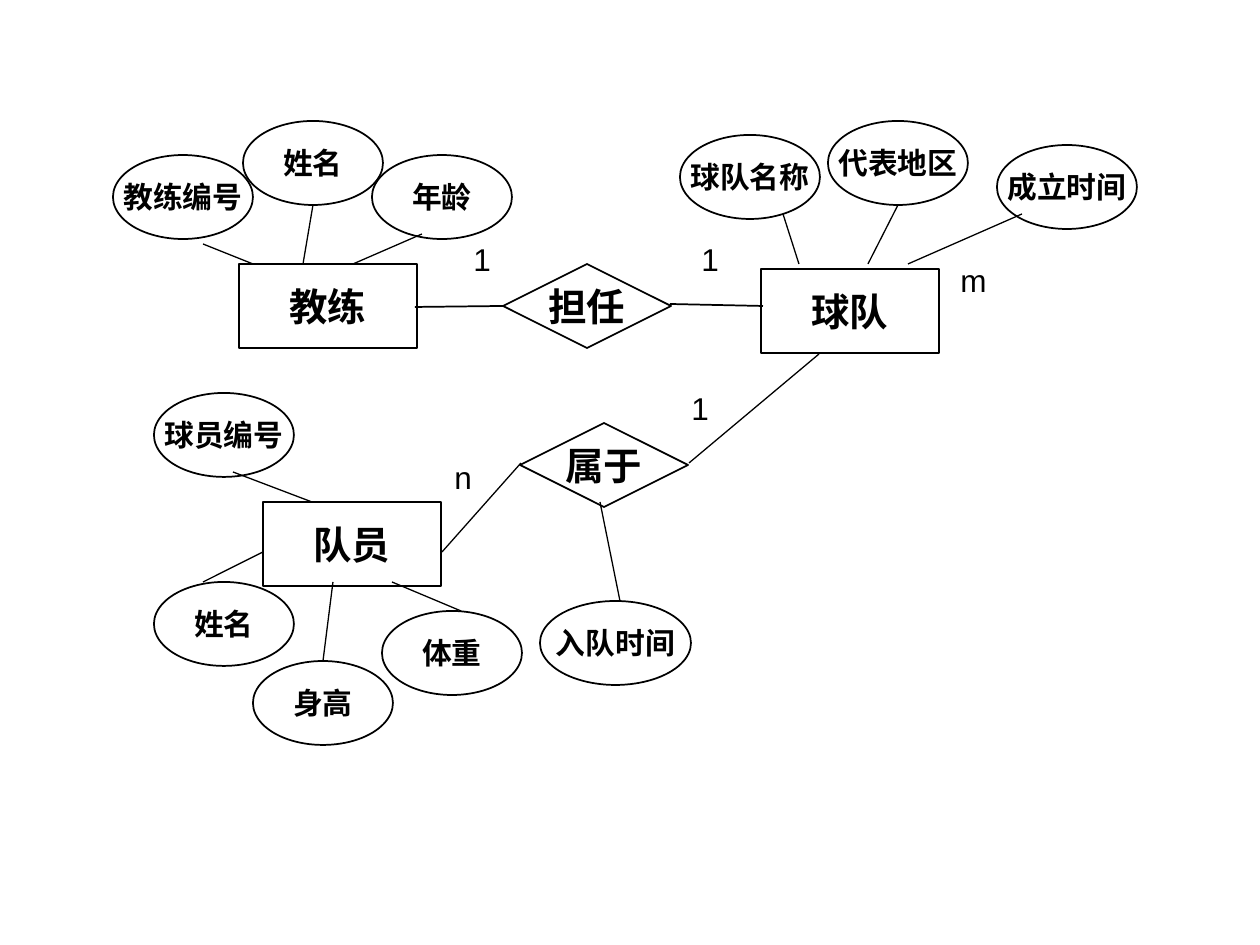
from lxml.etree import SubElement
from pptx import Presentation
from pptx.dml.color import RGBColor
from pptx.enum.shapes import MSO_CONNECTOR, MSO_SHAPE as Shape
from pptx.enum.text import MSO_ANCHOR, MSO_AUTO_SIZE, PP_ALIGN
from pptx.oxml.ns import qn
from pptx.util import Pt

PX = 914400 / 126
BLACK = "000000"
CJK, LATIN = "Noto Sans CJK SC", "Arial"

# Kind of node: preset, width, height, text size, space before
ENTITY = (Shape.RECTANGLE, 178, 84, 22, 5.5)
RELATION = (Shape.FLOWCHART_DECISION, 168, 84, 22, 5.5)
ATTRIBUTE = (Shape.OVAL, 140, 84, 17, 4.2)
WIDE_ATTRIBUTE = (Shape.OVAL, 151, 84, 17, 4.2)

# Nodes: text, left, top
NODES = [
    (ENTITY, [("教练", 239, 264), ("球队", 761, 269), ("队员", 263, 502)]),
    (RELATION, [("担任", 503, 264), ("属于", 520, 423)]),
    (ATTRIBUTE, [
        ("教练编号", 113, 155), ("姓名", 243, 121), ("年龄", 372, 155),
        ("球队名称", 680, 135), ("代表地区", 828, 121), ("成立时间", 997, 145),
        ("球员编号", 154, 393), ("姓名", 154, 582), ("身高", 253, 661),
        ("体重", 382, 611),
    ]),
    (WIDE_ATTRIBUTE, [("入队时间", 540, 601)]),
]

# Links by line width: x and y of the start, x and y of the end
LINKS = {
    1: [(503, 306, 415, 307), (670, 304, 763, 306)],
    0.75: [
        # attributes of the coach
        (253, 264, 203, 244), (313, 205, 303, 264), (422, 234, 353, 264),
        # attributes of the team
        (783, 214, 799, 264), (898, 205, 868, 264), (908, 264, 1022, 214),
        # membership
        (442, 552, 521, 463), (689, 463, 819, 354), (600, 502, 620, 601),
        # attributes of the player
        (312, 502, 233, 472), (263, 552, 203, 582),
        (333, 582, 323, 661), (392, 582, 461, 611),
    ],
}

# Cardinalities: text, left, top, width
CARDINALITIES = [
    ("m", 948, 255, 49), ("1", 689, 234, 49), ("1", 461, 234, 49),
    ("n", 442, 452, 49), ("1", 679, 383, 59),
]
CARDINALITY_HEIGHT = 50


def px(*lengths):
    return [round(length * PX) for length in lengths]


def color(hex_code):
    return RGBColor.from_string(hex_code)


def outline(part, width):
    part.line.color.rgb = color(BLACK)
    part.line.width = Pt(width)


def write(frame, text, size, typeface, before, bold=False):
    paragraph = frame.paragraphs[0]
    run = paragraph.add_run()
    run.text = text
    paragraph.space_before = Pt(before)
    font = run.font
    font.name, font.size, font.bold = typeface, Pt(size), bold
    font.color.rgb = color(BLACK)
    SubElement(run._r.get_or_add_rPr(), qn("a:ea"), typeface=typeface)
    return paragraph


def add_node(slide, kind, text, left, top):
    preset, width, height, size, before = kind
    node = slide.shapes.add_shape(preset, *px(left, top, width, height))
    node.shadow.inherit = False
    node.fill.background()
    outline(node, 1)
    frame = node.text_frame
    frame.word_wrap = False
    frame.vertical_anchor = MSO_ANCHOR.MIDDLE
    frame.margin_left, frame.margin_right = px(14, 14)
    frame.margin_top, frame.margin_bottom = px(6, 6)
    write(frame, text, size, CJK, before, bold=True).alignment = PP_ALIGN.CENTER


def add_link(slide, ends, width):
    link = slide.shapes.add_connector(MSO_CONNECTOR.STRAIGHT, *px(*ends))
    outline(link, width)
    SubElement(link._element.spPr, qn("a:effectLst"))


def add_cardinality(slide, text, left, top, width):
    box = slide.shapes.add_textbox(*px(left, top, width, CARDINALITY_HEIGHT))
    frame = box.text_frame
    frame.word_wrap = True
    frame.auto_size = MSO_AUTO_SIZE.SHAPE_TO_FIT_TEXT
    write(frame, text, 18, LATIN, 11.2)


def main():
    deck = Presentation()
    deck.slide_width, deck.slide_height = px(1260, 945)
    slide = deck.slides.add_slide(deck.slide_layouts[6])

    # Entities, relations and attributes
    for kind, nodes in NODES:
        for node in nodes:
            add_node(slide, kind, *node)

    # Connecting lines
    for width, links in LINKS.items():
        for ends in links:
            add_link(slide, ends, width)

    # Cardinality labels
    for cardinality in CARDINALITIES:
        add_cardinality(slide, *cardinality)

    deck.save("out.pptx")


if __name__ == "__main__":
    main()
